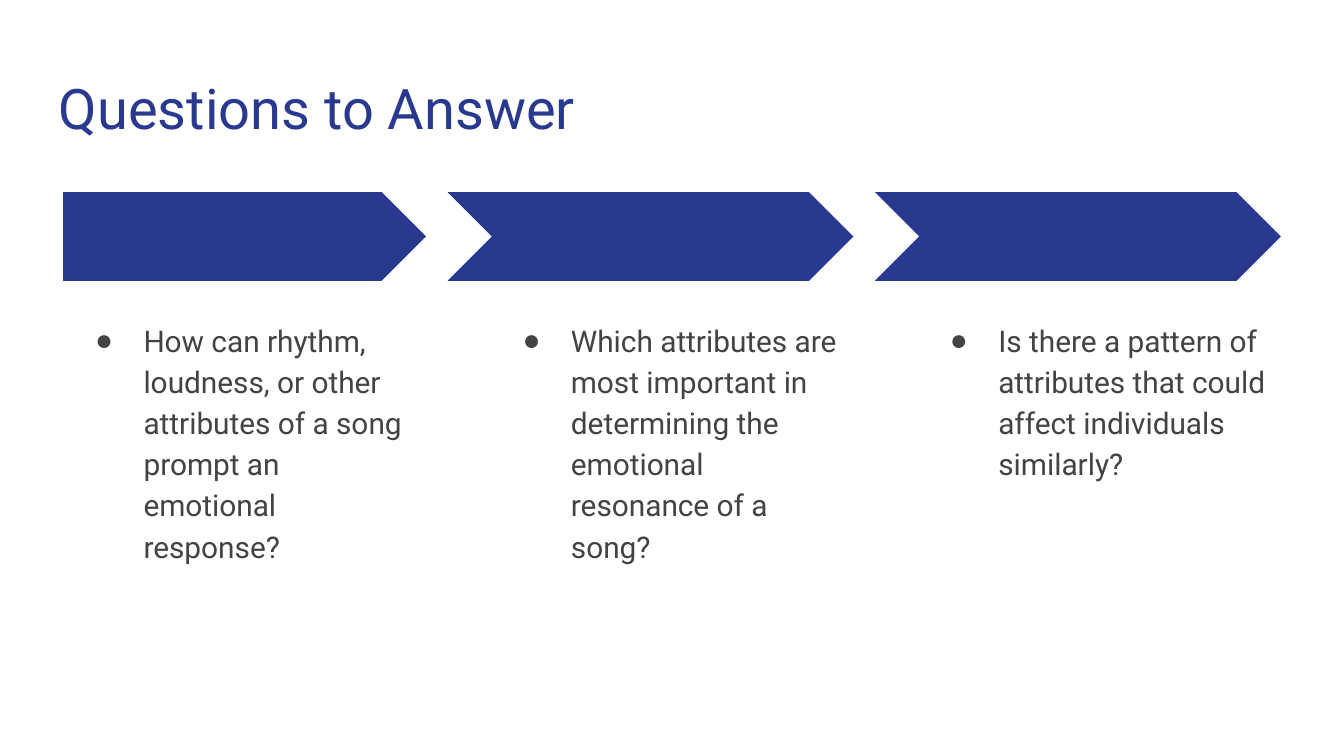
import pptx
import pptx.util
import pptx.dml.color
import pptx.enum.shapes
import pptx.oxml.ns
from lxml import etree

Inches = pptx.util.Inches
Kind = pptx.enum.shapes.MSO_SHAPE
NAVY = pptx.dml.color.RGBColor(0x2A, 0x39, 0x90)
GREY = pptx.dml.color.RGBColor(0x43, 0x43, 0x43)
FONT = "Roboto"

LEFT, PITCH, WIDTH = 0.47, 3.18, 2.7
NOTCH = 0.32
ASKS = [
    "How can rhythm, loudness, or other attributes of a song "
    "prompt an emotional response?",
    "Which attributes are most important in determining the "
    "emotional resonance of a song?",
    "Is there a pattern of attributes that could affect "
    "individuals similarly?",
]


def add_text(slide, box, text, size, color):
    """Add a wrapped text box and return its paragraph."""
    frame = slide.shapes.add_textbox(*map(Inches, box)).text_frame
    frame.word_wrap = True
    frame.margin_left = frame.margin_right = Inches(0.1)
    frame.margin_top = frame.margin_bottom = Inches(0.1)
    para = frame.paragraphs[0]
    para.text = text
    font = para.runs[0].font
    font.name = FONT
    font.size = pptx.util.Pt(size)
    font.color.rgb = color
    return para


def add_bullet(para, color):
    """Give a paragraph a round bullet with a hanging indent."""
    props = para._p.get_or_add_pPr()
    props.set("marL", str(Inches(0.5)))
    props.set("indent", str(Inches(-0.36)))
    qn = pptx.oxml.ns.qn
    tint = etree.SubElement(props, qn("a:buClr"))
    etree.SubElement(tint, qn("a:srgbClr"), val=str(color))
    etree.SubElement(props, qn("a:buFont"), typeface="Arial")
    etree.SubElement(props, qn("a:buChar"), char="●")


def add_arrow(slide, kind, left, width):
    """Add one plain step of the arrow band."""
    arrow = slide.shapes.add_shape(
        kind, Inches(left), Inches(1.43), Inches(width), Inches(0.66))
    arrow.adjustments[0] = 0.5
    arrow.shadow.inherit = False
    arrow.fill.solid()
    arrow.fill.fore_color.rgb = NAVY
    arrow.line.fill.background()


def add_step(slide, index, ask):
    """Add an arrow with its question below."""
    left = LEFT + index * PITCH
    if index == 0:
        add_arrow(slide, Kind.PENTAGON, left, WIDTH)
    else:
        add_arrow(slide, Kind.CHEVRON, left - NOTCH, WIDTH + NOTCH)
    para = add_text(slide, (left, 2.26, WIDTH, 2.9), ask, 16, GREY)
    para.line_spacing = 1.15
    add_bullet(para, GREY)


def main():
    """Build the slide and save it."""
    deck = pptx.Presentation()
    deck.slide_width = Inches(10)
    deck.slide_height = Inches(10 * 9 / 16)
    slide = deck.slides.add_slide(deck.slide_layouts[6])
    add_text(slide, (0.34, 0.45, 9.32, 0.66), "Questions to Answer", 30, NAVY)
    for index, ask in enumerate(ASKS):
        add_step(slide, index, ask)
    deck.save("out.pptx")


main()
